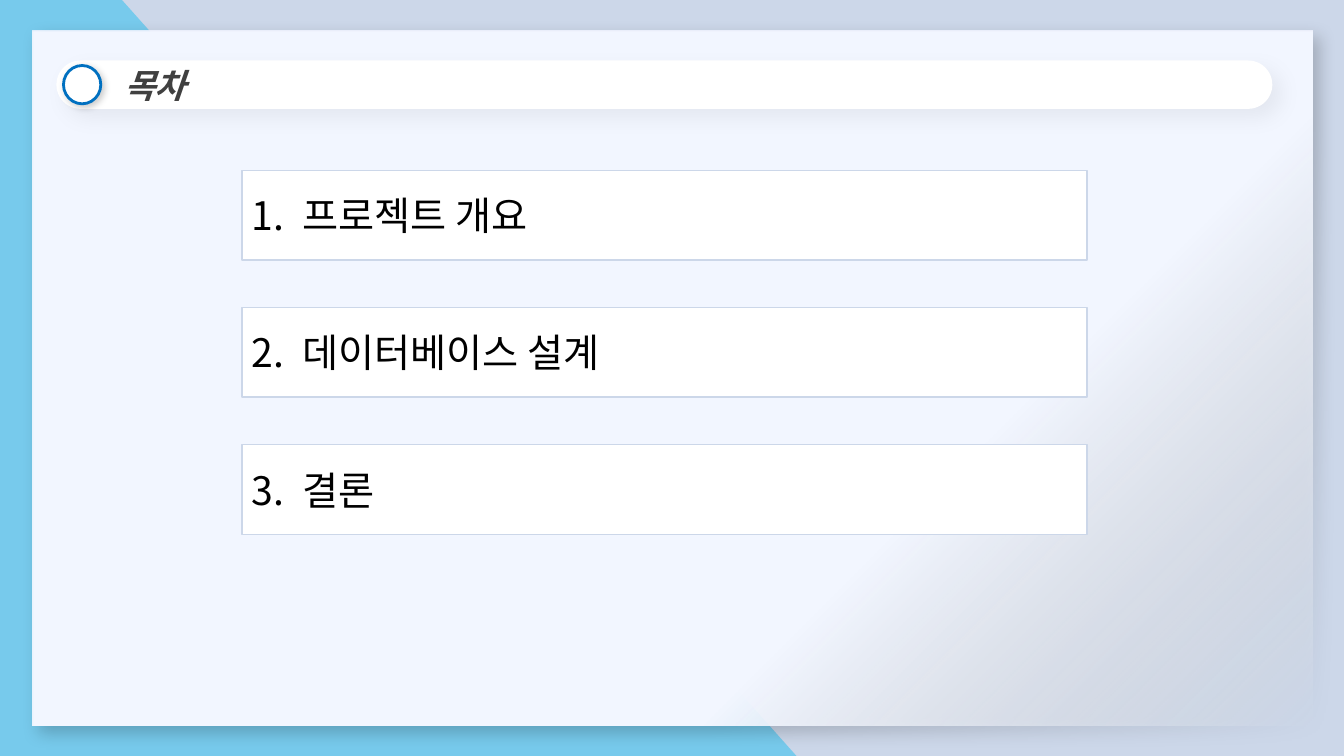
from pptx import Presentation
from pptx.dml.color import RGBColor
from pptx.enum.shapes import MSO_SHAPE
from pptx.enum.text import MSO_ANCHOR, PP_ALIGN
from pptx.oxml import parse_xml
from pptx.oxml.ns import nsdecls, qn
from pptx.util import Inches, Pt


def color(value):
    """Turn a hex string into a colour."""
    return RGBColor.from_string(value)


class SlideBuilder:
    """Hold the slide style and draw each kind of element."""

    FONT = "Noto Sans CJK KR"
    BACKGROUND = "CCD7E9"
    ACCENT = "77CAEC"
    PANEL = "F2F6FF"
    WHITE = "FFFFFF"

    def __init__(self, presentation):
        """Add a title-only slide with the plain background."""
        self.slide = presentation.slides.add_slide(presentation.slide_layouts[5])
        self.slide.background.fill.solid()
        self.slide.background.fill.fore_color.rgb = color(self.BACKGROUND)

    def paint(self, shape, fill, line=None, width=1):
        """Set a solid fill and an optional outline, without a shadow."""
        shape.shadow.inherit = False
        shape.fill.solid()
        shape.fill.fore_color.rgb = color(fill)
        if line:
            shape.line.color.rgb = color(line)
            shape.line.width = Pt(width)
        else:
            shape.line.fill.background()

    def polygon(self, points, fill):
        """Draw a closed outline through points given in inches."""
        corners = [(Inches(x), Inches(y)) for x, y in points]
        builder = self.slide.shapes.build_freeform(*corners[0])
        builder.add_line_segments(corners[1:], close=True)
        self.paint(builder.convert_to_shape(), fill)

    def shape(self, kind, box, fill=WHITE, line=None, width=1):
        """Draw a preset shape in a box given in inches."""
        shape = self.slide.shapes.add_shape(kind, *map(Inches, box))
        self.paint(shape, fill, line, width)
        return shape

    def cast_shadow(self, shape, opacity, blur, distance):
        """Give a shape a soft black shadow towards the lower right."""
        effects = shape._element.spPr.find(qn("a:effectLst"))
        effects.append(parse_xml(
            f'<a:outerShdw {nsdecls("a")} blurRad="{Pt(blur)}" dist="{Pt(distance)}" '
            'dir="2700000" algn="tl" rotWithShape="0"><a:srgbClr val="000000">'
            f'<a:alpha val="{opacity * 1000}"/></a:srgbClr></a:outerShdw>'))

    def fade_corner(self, shape):
        """Fade the panel colour to clear at the lower right corner."""
        shape.fill.background()
        properties = shape._element.spPr
        properties.replace(properties.find(qn("a:noFill")), parse_xml(
            f'<a:gradFill {nsdecls("a")} rotWithShape="1"><a:gsLst>'
            f'<a:gs pos="69000"><a:srgbClr val="{self.PANEL}"/></a:gs>'
            f'<a:gs pos="100000"><a:srgbClr val="{self.WHITE}"><a:alpha val="0"/></a:srgbClr></a:gs>'
            '</a:gsLst><a:path path="circle"><a:fillToRect r="100000" b="100000"/></a:path>'
            '</a:gradFill>'))

    def set_text(self, shape, text, size, text_color, emphasis=False):
        """Set one left-aligned, vertically centred paragraph."""
        frame = shape.text_frame
        frame.word_wrap = True
        frame.vertical_anchor = MSO_ANCHOR.MIDDLE
        paragraph = frame.paragraphs[0]
        paragraph.text = text
        paragraph.alignment = PP_ALIGN.LEFT
        font = paragraph.font
        font.name = self.FONT
        font.size = Pt(size)
        font.bold = font.italic = emphasis
        font.color.rgb = color(text_color)
        properties = paragraph._p.get_or_add_pPr()
        properties.find(qn("a:defRPr")).append(
            parse_xml(f'<a:ea {nsdecls("a")} typeface="{self.FONT}"/>'))
        return paragraph

    def title(self, text, box):
        """Place the title placeholder in front of the shapes so far."""
        title = self.slide.shapes.title
        title.left, title.top, title.width, title.height = map(Inches, box)
        self.slide.shapes._spTree.append(title._element)
        self.set_text(title, text, 24, "404040", emphasis=True)
        frame = title.text_frame
        frame.margin_left = Inches(0.67)
        frame.margin_top = frame.margin_bottom = 0

    def agenda_item(self, number, text, box):
        """Draw an outlined box with a numbered agenda entry."""
        item = self.shape(MSO_SHAPE.RECTANGLE, box, line=self.BACKGROUND)
        paragraph = self.set_text(item, f"{number}.\t{text}", 28, "000000")
        properties = paragraph._p.get_or_add_pPr()
        properties.set("marL", str(Inches(0.5)))
        properties.set("indent", str(-Inches(0.5)))


def main():
    """Build the agenda slide and save it."""
    presentation = Presentation()
    presentation.slide_width = Inches(13.33)
    presentation.slide_height = Inches(7.5)
    builder = SlideBuilder(presentation)

    builder.polygon([(0, 0), (1.21, 0), (7.9, 7.5), (0, 7.5)], builder.ACCENT)
    panel = builder.shape(MSO_SHAPE.RECTANGLE, (0.32, 0.3, 12.7, 6.9))
    builder.fade_corner(panel)
    builder.cast_shadow(panel, 20, 12, 7)

    title_box = (0.56, 0.6, 12.06, 0.48)
    title_bar = builder.shape(MSO_SHAPE.ROUNDED_RECTANGLE, title_box)
    title_bar.adjustments[0] = 0.5
    builder.cast_shadow(title_bar, 5, 15, 8)
    builder.title("목차", title_box)

    ring = builder.shape(MSO_SHAPE.OVAL, (0.63, 0.65, 0.37, 0.38), line="0070C0", width=2)
    builder.cast_shadow(ring, 20, 5, 2)

    agenda = ["프로젝트 개요", "데이터베이스 설계", "결론"]
    for index, text in enumerate(agenda):
        builder.agenda_item(index + 1, text, (2.4, 1.69 + 1.36 * index, 8.38, 0.89))

    presentation.save("out.pptx")


if __name__ == "__main__":
    main()
